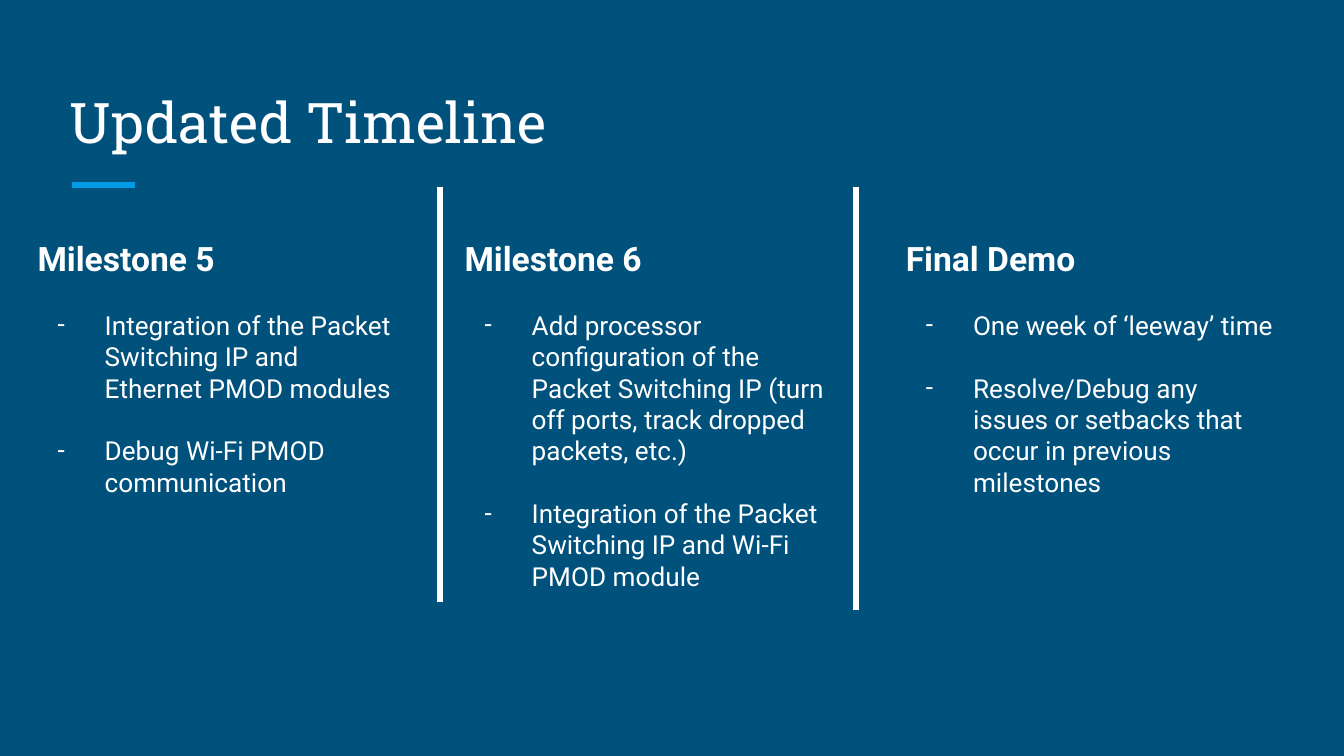
from lxml import etree
from pptx import Presentation
from pptx import util as u
from pptx.dml.color import RGBColor
from pptx.enum import shapes, text
from pptx.oxml.ns import qn

NAVY = RGBColor(0x00, 0x51, 0x7C)
SKY = RGBColor(0x03, 0x9B, 0xE5)
WHITE = RGBColor(0xFF, 0xFF, 0xFF)

INSET = u.Cm(0.25)
COLUMN_TOP = 4.24
DIVIDER_TOP = 3.53

MILESTONES = [
    ((16.87, COLUMN_TOP, 7.49, 8.59), "Final Demo", [
        "One week of ‘leeway’ time",
        "Resolve/Debug any issues or setbacks that occur in previous milestones",
    ]),
    ((8.53, COLUMN_TOP, 7.49, 8.33), "Milestone 6", [
        "Add processor configuration of the Packet Switching IP "
        "(turn off ports, track dropped packets, etc.)",
        "Integration of the Packet Switching IP and Wi-Fi PMOD module",
    ]),
    ((0.46, COLUMN_TOP, 7.26, 8.33), "Milestone 5", [
        "Integration of the Packet Switching IP and Ethernet PMOD modules",
        "Debug Wi-Fi PMOD communication",
    ]),
]
DIVIDERS = [(8.31, 11.38), (16.18, 11.53)]


def set_frame(frame, anchor):
    frame.word_wrap = True
    frame.auto_size = text.MSO_AUTO_SIZE.NONE
    frame.vertical_anchor = anchor
    frame.margin_left = frame.margin_right = INSET
    frame.margin_top = frame.margin_bottom = INSET


def set_font(paragraph, name, size, bold=False):
    font = paragraph.font
    font.name, font.size, font.bold = name, u.Pt(size), bold
    font.color.rgb = WHITE


def add_dash(paragraph):
    properties = paragraph._p.get_or_add_pPr()
    properties.set("marL", str(u.Cm(1.27)))
    properties.set("indent", str(u.Cm(-0.89)))
    for bullet in (etree.Element(qn("a:buFont"), typeface="Roboto"),
                   etree.Element(qn("a:buChar"), char="-")):
        properties.insert_element_before(
            bullet, "a:tabLst", "a:defRPr", "a:extLst")


def add_rule(slide, x1, y1, x2, y2, color):
    rule = slide.shapes.add_connector(
        shapes.MSO_CONNECTOR.STRAIGHT, u.Cm(x1), u.Cm(y1), u.Cm(x2), u.Cm(y2))
    rule.line.color.rgb = color
    rule.line.width = u.Pt(3)
    etree.SubElement(rule._element.spPr, qn("a:effectLst"))


def place_title(slide, box, heading):
    title = slide.shapes.title
    title.left, title.top, title.width, title.height = map(u.Cm, box)
    set_frame(title.text_frame, text.MSO_ANCHOR.BOTTOM)
    title.text_frame.text = heading
    paragraph = title.text_frame.paragraphs[0]
    paragraph.alignment = text.PP_ALIGN.LEFT
    set_font(paragraph, "Roboto Slab", 30)
    left, top, _, height = box
    rule_left, rule_top = left + 0.3, top + height + 0.32
    add_rule(slide, rule_left, rule_top, rule_left + 1.18, rule_top, SKY)


def add_milestone(slide, box, heading, tasks):
    column = slide.shapes.add_textbox(*map(u.Cm, box)).text_frame
    set_frame(column, text.MSO_ANCHOR.TOP)
    column.text = heading
    set_font(column.paragraphs[0], "Roboto", 18, bold=True)
    for task in tasks:
        paragraph = column.add_paragraph()
        paragraph.text = task
        paragraph.space_before = u.Pt(16.8)
        set_font(paragraph, "Roboto", 14)
        add_dash(paragraph)


def main():
    deck = Presentation()
    deck.slide_width, deck.slide_height = u.Cm(25.4), u.Cm(14.29)
    slide = deck.slides.add_slide(deck.slide_layouts.get_by_name("Title Only"))
    slide.background.fill.solid()
    slide.background.fill.fore_color.rgb = NAVY

    place_title(slide, (1.07, 1.27, 23.24, 1.91), "Updated Timeline")
    for box, heading, tasks in MILESTONES:
        add_milestone(slide, box, heading, tasks)
    for x, bottom in DIVIDERS:
        add_rule(slide, x, bottom, x, DIVIDER_TOP, WHITE)

    deck.save("out.pptx")


if __name__ == "__main__":
    main()
